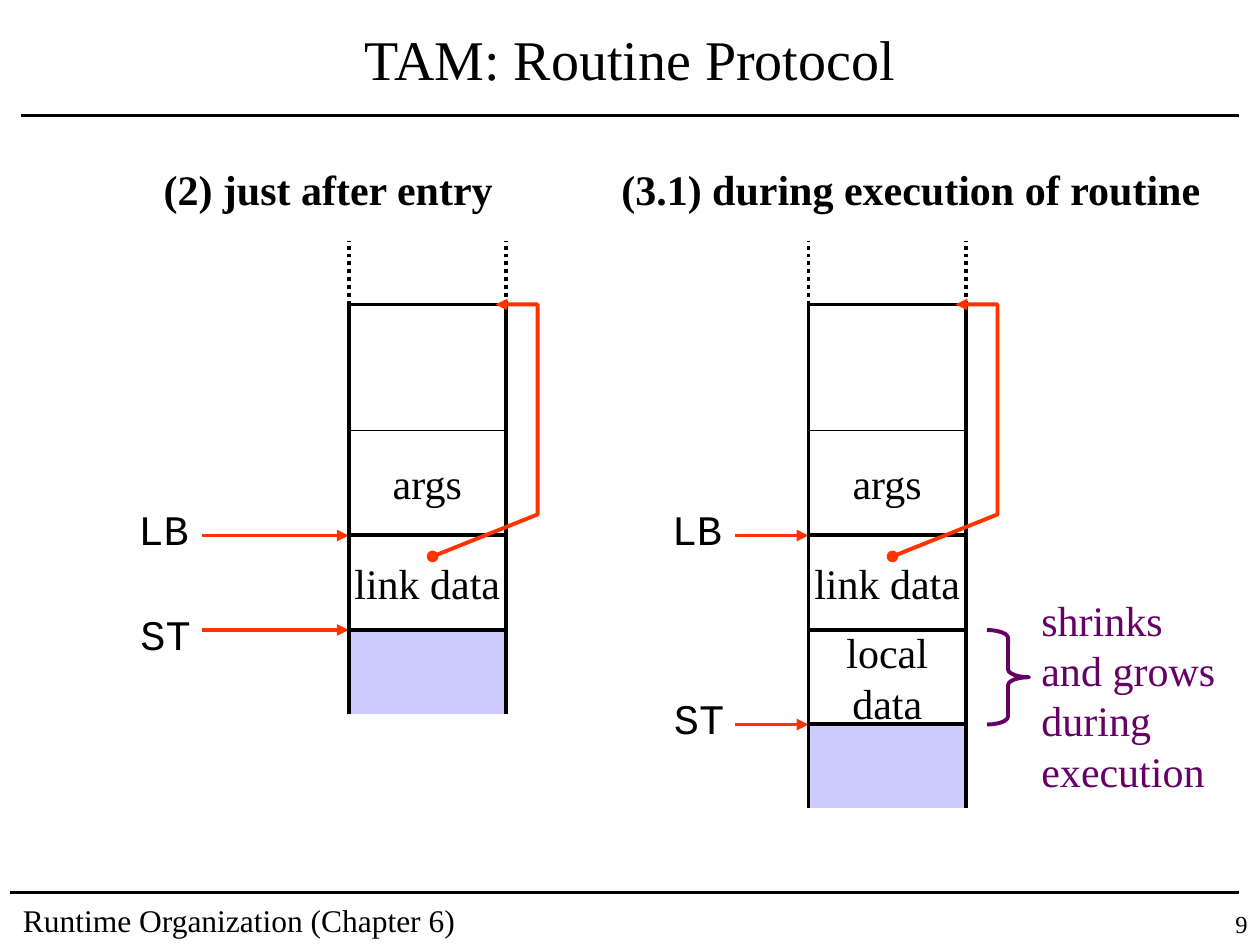
from lxml import etree
from pptx import Presentation
from pptx import util as u
from pptx.dml.color import RGBColor
from pptx.enum import dml, shapes, text
from pptx.oxml.ns import qn

BLACK = RGBColor(0x00, 0x00, 0x00)
WHITE = RGBColor(0xFF, 0xFF, 0xFF)
LAVENDER = RGBColor(0xCC, 0xCC, 0xFF)
RED = RGBColor(0xFF, 0x33, 0x00)
PURPLE = RGBColor(0x66, 0x00, 0x66)
SERIF = "Times New Roman"
MONO = "Courier New"
LEFT, CENTER, RIGHT = text.PP_ALIGN.LEFT, text.PP_ALIGN.CENTER, text.PP_ALIGN.RIGHT
COLUMNS, ROWS = 120, 90
WIDTH, HEIGHT = u.Inches(10), u.Inches(7.5)


def grid(*lengths):
    units = (WIDTH / COLUMNS, HEIGHT / ROWS)
    return [round(n * units[i % 2]) for i, n in enumerate(lengths)]


def write(sp, words, size=24, font=SERIF, color=BLACK, bold=False,
          align=LEFT, wrap=True, middle=False):
    tf = sp.text_frame
    tf.word_wrap = wrap
    tf.vertical_anchor = text.MSO_ANCHOR.MIDDLE if middle else text.MSO_ANCHOR.TOP
    tf.text = words
    for p in tf.paragraphs:
        p.alignment = align
        for r in p.runs:
            r.font.name, r.font.size, r.font.bold = font, u.Pt(size), bold
            r.font.color.rgb = color


def label(s, box, words, **style):
    write(s.shapes.add_textbox(*grid(*box)), words, **style)


def outline(sp, color=BLACK, fill=None):
    sp.shadow.inherit = False
    sp.line.color.rgb, sp.line.width = color, u.Pt(2.25)
    if fill is None:
        sp.fill.background()
    else:
        sp.fill.solid()
        sp.fill.fore_color.rgb = fill


def add_ends(sp, **ends):
    ln = sp.line._get_or_add_ln()
    for end, kind in ends.items():
        etree.SubElement(ln, qn(f"a:{end}"), type=kind)


def rule(s, ends, color=BLACK, width=2.25, dotted=False, arrow=False):
    sp = s.shapes.add_connector(shapes.MSO_CONNECTOR.STRAIGHT, *grid(*ends))
    sp.line.color.rgb, sp.line.width = color, u.Pt(width)
    if dotted:
        sp.line.dash_style = dml.MSO_LINE.ROUND_DOT
    if arrow:
        add_ends(sp, tailEnd="triangle")
    etree.SubElement(sp._element.spPr, qn("a:effectLst"))


def polyline(s, points, color, fill=None):
    start, *rest = [grid(*point) for point in points]
    builder = s.shapes.build_freeform(*start)
    builder.add_line_segments(rest, close=False)
    sp = builder.convert_to_shape()
    outline(sp, color, fill)
    return sp


def frame(s, box, words=""):
    sp = s.shapes.add_shape(shapes.MSO_SHAPE.RECTANGLE, *grid(*box))
    outline(sp, fill=WHITE)
    if words:
        write(sp, words, align=CENTER, wrap=False, middle=True)


def register(s, name, label_box, arrow_start, stack_left, row):
    label(s, label_box, name, font=MONO, wrap=False)
    rule(s, (arrow_start, row, stack_left, row), RED, arrow=True)


def stack(s, box, arrow_start, st_label_row, frames):
    left, top, width, height = box
    right, lb = left + width, top + 22
    st = lb + 9 * len(frames)
    polyline(s, [(left, top + height), (left, lb - 3),
                 (right, lb - 3), (right, top + height)], BLACK, LAVENDER)
    label_left = arrow_start - 7.2
    register(s, "LB", (label_left, lb - 3.6, 7.2, 6), arrow_start, left, lb)
    register(s, "ST", (label_left + 0.2, st_label_row, 7.2, 6), arrow_start, left, st)
    frame(s, (left, top, width, 22))
    rule(s, (left, top + 12, right, top + 12), width=0.75)
    label(s, (left + 1, top + 14, width - 2, 6), "args", align=CENTER)
    for x in (left, right):
        rule(s, (x, top, x, top - 6), dotted=True)
    for i, words in enumerate(frames):
        frame(s, (left, lb + 9 * i, width, 9), words)
    pointer = polyline(s, [(left + 8, lb + 2), (right + 3, lb - 2),
                           (right + 3, top), (right - 1, top)], RED)
    add_ends(pointer, headEnd="oval", tailEnd="triangle")


def growth_note(s, box):
    left, top, width, height = box
    brace = s.shapes.add_shape(shapes.MSO_SHAPE.RIGHT_BRACE, *grid(left, top, 4, height))
    brace.adjustments[0] = 0.19
    outline(brace, PURPLE)
    label(s, (left + 4, top - 4, width - 4, 20.4),
          "shrinks and grows during execution", color=PURPLE)


def header(s, box):
    left, top, width, height = box
    label(s, box, "TAM: Routine Protocol", size=32, align=CENTER, middle=True)
    rule(s, (left - 1, top + height + 1, left + width + 1, top + height + 1))


def footer(s, box):
    left, top, width, height = box
    rule(s, (left, top, left + 117, top))
    label(s, (left, top + 0.2, 46, 4.8), "Runtime Organization (Chapter 6)", size=18)
    label(s, (left + width - 9, top + 1, 9, 4), "9", size=14, align=RIGHT)


def main():
    prs = Presentation()
    prs.slide_width, prs.slide_height = WIDTH, HEIGHT
    s = prs.slides.add_slide(prs.slide_layouts[6])
    header(s, (3, 1, 114, 9))
    label(s, (14.4, 15, 33.8, 6), "(2) just after entry", bold=True, wrap=False)
    stack(s, (33.2, 29, 15, 39), 19.2, 57.4, ["link data"])
    label(s, (58, 15, 57.6, 6), "(3.1) during execution of routine", bold=True, wrap=False)
    stack(s, (77, 29, 15, 48), 70, 65.4, ["link data", "local\ndata"])
    growth_note(s, (94, 60, 24, 9))
    footer(s, (1, 85, 119, 5))
    prs.save("out.pptx")


if __name__ == "__main__":
    main()
